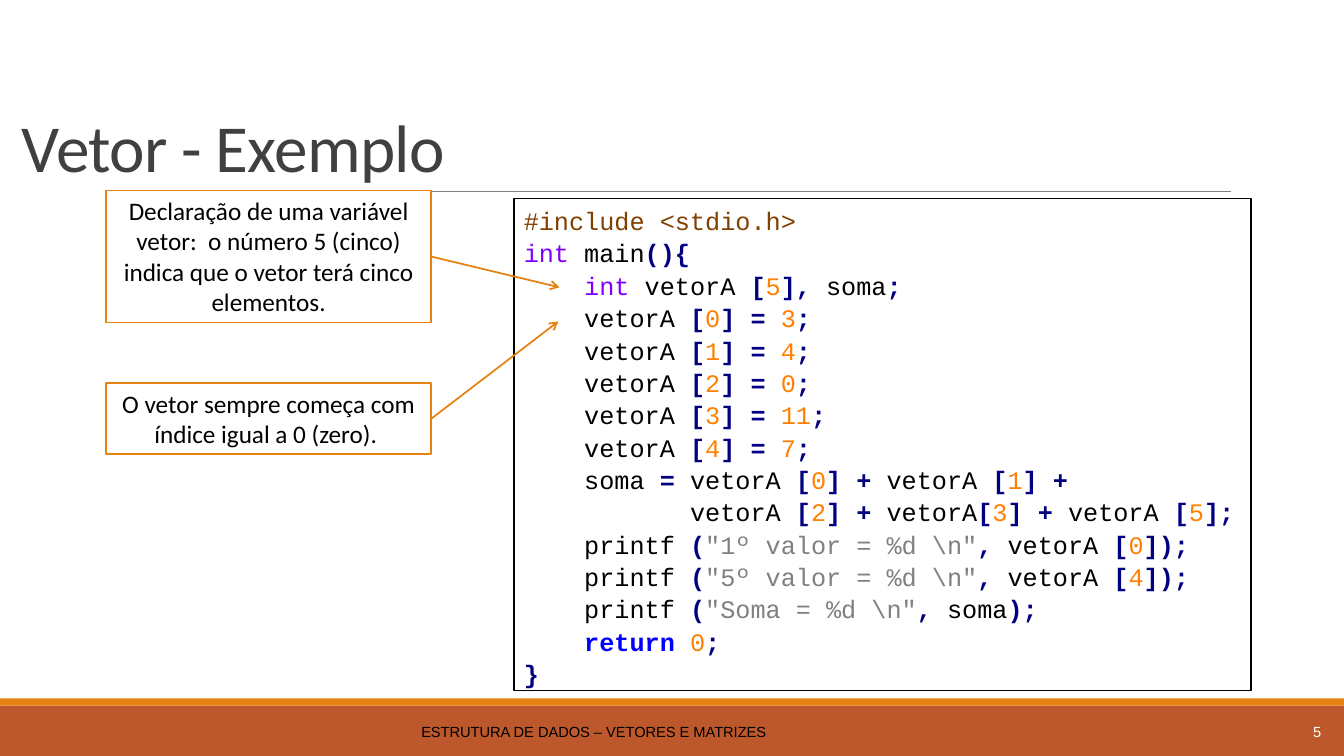
from dataclasses import dataclass
from itertools import groupby

from lxml.etree import SubElement
from pptx import Presentation
from pptx.dml.color import RGBColor
from pptx.enum.shapes import MSO_CONNECTOR, MSO_SHAPE
from pptx.enum.text import MSO_ANCHOR, MSO_AUTO_SIZE, PP_ALIGN
from pptx.oxml.ns import qn
from pptx.util import Cm, Pt


@dataclass(frozen=True)
class Theme:
    """Colours, fonts and type sizes of the slide."""
    black: str = "000000"
    white: str = "FFFFFF"
    title: str = "404040"
    rule: str = "808080"
    footer: str = "BD582C"
    accent: str = "E48312"
    body_font: str = "Calibri"
    footer_font: str = "Arial"
    code_font: str = "Courier New"
    title_size: float = 48
    body_size: float = 18
    footer_size: float = 10.5
    border: float = 1.25
    hairline: float = 0.5


THEME = Theme()
SYNTAX = {
    "preprocessor": ("804000", False),
    "type": ("8000FF", False),
    "keyword": ("0000FF", True),
    "name": ("000000", False),
    "symbol": ("000080", True),
    "number": ("FF8000", False),
    "string": ("808080", False),
}
RESERVED = {"int": "type", "return": "keyword"}
CODE = [
    "#include <stdio.h>",
    "int main(){",
    "    int vetorA [5], soma;",
    *[f"    vetorA [{index}] = {value};" for index, value in enumerate((3, 4, 0, 11, 7))],
    "    soma = vetorA [0] + vetorA [1] +",
    "           vetorA [2] + vetorA[3] + vetorA [5];",
    '    printf ("1º valor = %d \\n", vetorA [0]);',
    '    printf ("5º valor = %d \\n", vetorA [4]);',
    '    printf ("Soma = %d \\n", soma);',
    "    return 0;",
    "}",
]
NOTES = [
    ("Declaração de uma variável vetor:  o número 5 (cinco) indica que o vetor "
     "terá cinco elementos.", 4.8, 3.33, (14.1, 7.24)),
    ("O vetor sempre começa com índice igual a 0 (zero). ", 9.65, 1.8, (14.07, 8.1)),
]
NOTE_LEFT, NOTE_WIDTH = 2.67, 8.2
SLIDE_WIDTH, SLIDE_HEIGHT = 33.87, 19.05


def write_text(para, text, font=THEME.body_font, size=THEME.body_size,
               color=THEME.black, bold=False, align=PP_ALIGN.LEFT):
    """Append a formatted span to a paragraph and return it."""
    para.alignment = align
    span = para.add_run()
    span.text = text
    span.font.name = font
    span.font.size = Pt(size)
    span.font.bold = bold
    span.font.color.rgb = RGBColor.from_string(color)
    return span


def add_box(page, left, top, width, height, fill, border=None):
    """Add a flat rectangle whose text wraps from the top."""
    box = page.shapes.add_shape(MSO_SHAPE.RECTANGLE, Cm(left), Cm(top), Cm(width), Cm(height))
    box.shadow.inherit = False
    box.fill.solid()
    box.fill.fore_color.rgb = RGBColor.from_string(fill)
    if border:
        box.line.color.rgb = RGBColor.from_string(border)
        box.line.width = Pt(THEME.border)
    else:
        box.line.fill.background()
    box.text_frame.word_wrap = True
    box.text_frame.vertical_anchor = MSO_ANCHOR.TOP
    return box


def add_line(page, start, end, color, width, arrow=False):
    """Draw a straight connector, with an open arrowhead on request."""
    line = page.shapes.add_connector(
        MSO_CONNECTOR.STRAIGHT, *map(Cm, start), *map(Cm, end))
    line.line.color.rgb = RGBColor.from_string(color)
    line.line.width = Pt(width)
    if arrow:
        SubElement(line.line._get_or_add_ln(), qn("a:tailEnd"), type="arrow")
    SubElement(line._element.spPr, qn("a:effectLst"))


def add_title(page, text):
    """Place and format the title placeholder."""
    title = page.shapes.title
    title.left, title.top, title.width, title.height = map(Cm, (0.3, 0.79, 33.27, 4.04))
    frame = title.text_frame
    frame.vertical_anchor = MSO_ANCHOR.BOTTOM
    frame.auto_size = MSO_AUTO_SIZE.NONE
    para = frame.paragraphs[0]
    para.line_spacing = 0.85
    span = write_text(para, text, size=THEME.title_size, color=THEME.title)
    span.font._element.set("spc", "-50")


def add_footer_text(page, left, width, text, color, align):
    """Add one text box on the footer band."""
    box = page.shapes.add_textbox(Cm(left), Cm(17.93), Cm(width), Cm(1.02))
    frame = box.text_frame
    frame.word_wrap = True
    frame.vertical_anchor = MSO_ANCHOR.MIDDLE
    write_text(frame.paragraphs[0], text, font=THEME.footer_font,
               size=THEME.footer_size, color=color, align=align)


def character_kind(character):
    """Classify a source code character."""
    if character == " ":
        return "space"
    return "name" if character.isalnum() else "symbol"


def tokens(line):
    """Yield the words of a code line with their syntax kinds."""
    if line.startswith("#"):
        yield line, "preprocessor"
        return
    for index, part in enumerate(line.split('"')):
        if index % 2:
            yield f'"{part}"', "string"
            continue
        kind = "name"
        for group, characters in groupby(part, character_kind):
            word = "".join(characters)
            if group != "space":
                kind = "number" if word.isdigit() else RESERVED.get(word, group)
            yield word, kind


def add_code(page, lines):
    """Add the listing with syntax colours and indented paragraphs."""
    frame = add_box(page, 12.95, 5, 18.57, 12.4, THEME.white, THEME.black).text_frame
    character_width = Pt(THEME.body_size * 0.6)
    for index, line in enumerate(lines):
        para = frame.add_paragraph() if index else frame.paragraphs[0]
        para.line_spacing = 1.07
        code = line.lstrip()
        indent = (len(line) - len(code)) * character_width
        para._p.get_or_add_pPr().set("marL", str(indent))
        for kind, group in groupby(tokens(code), lambda token: token[1]):
            color, bold = SYNTAX[kind]
            write_text(para, "".join(word for word, _ in group),
                       font=THEME.code_font, color=color, bold=bold)


def add_note(page, text, top, height, target):
    """Add a callout box and the arrow from its right side to the code."""
    box = add_box(page, NOTE_LEFT, top, NOTE_WIDTH, height, THEME.white, THEME.accent)
    box.text_frame.auto_size = MSO_AUTO_SIZE.SHAPE_TO_FIT_TEXT
    write_text(box.text_frame.paragraphs[0], text, align=PP_ALIGN.CENTER)
    start = (NOTE_LEFT + NOTE_WIDTH, top + height / 2)
    add_line(page, start, target, THEME.accent, THEME.border, arrow=True)


def main():
    """Build and save the slide."""
    deck = Presentation()
    deck.slide_width, deck.slide_height = Cm(SLIDE_WIDTH), Cm(SLIDE_HEIGHT)
    page = deck.slides.add_slide(deck.slide_layouts[5])
    add_box(page, 0, 17.78, SLIDE_WIDTH, 1.27, THEME.footer)
    add_box(page, 0, 17.6, SLIDE_WIDTH, 0.18, THEME.accent)
    add_line(page, (3.33, 4.83), (31.01, 4.83), THEME.rule, THEME.hairline)
    add_title(page, "Vetor - Exemplo")
    add_footer_text(page, 0.3, 29.34, "ESTRUTURA DE DADOS – VETORES E MATRIZES",
                    THEME.black, PP_ALIGN.CENTER)
    add_footer_text(page, 29.92, 3.63, "5", THEME.white, PP_ALIGN.RIGHT)
    add_code(page, CODE)
    for note in NOTES:
        add_note(page, *note)
    deck.save("out.pptx")


main()
